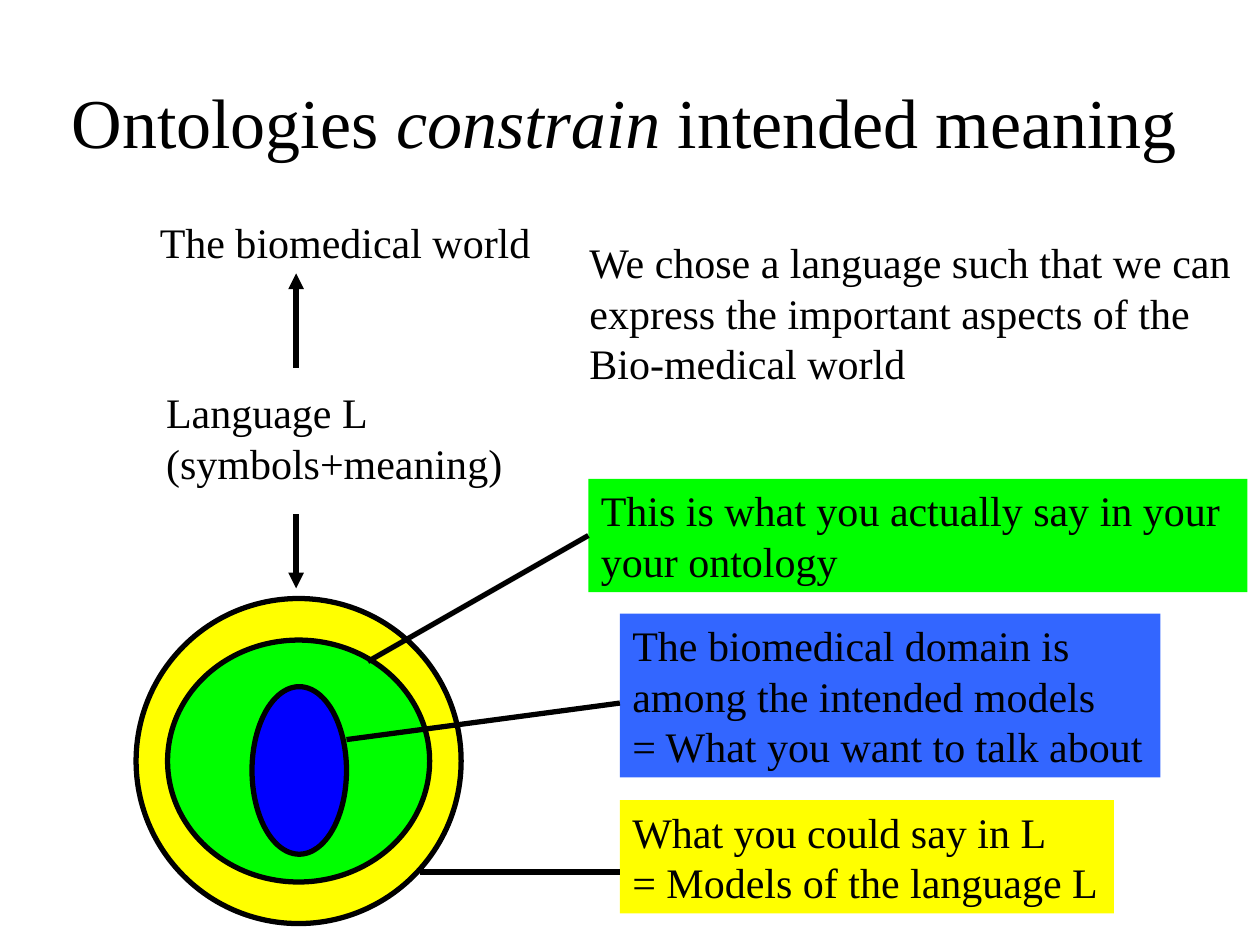
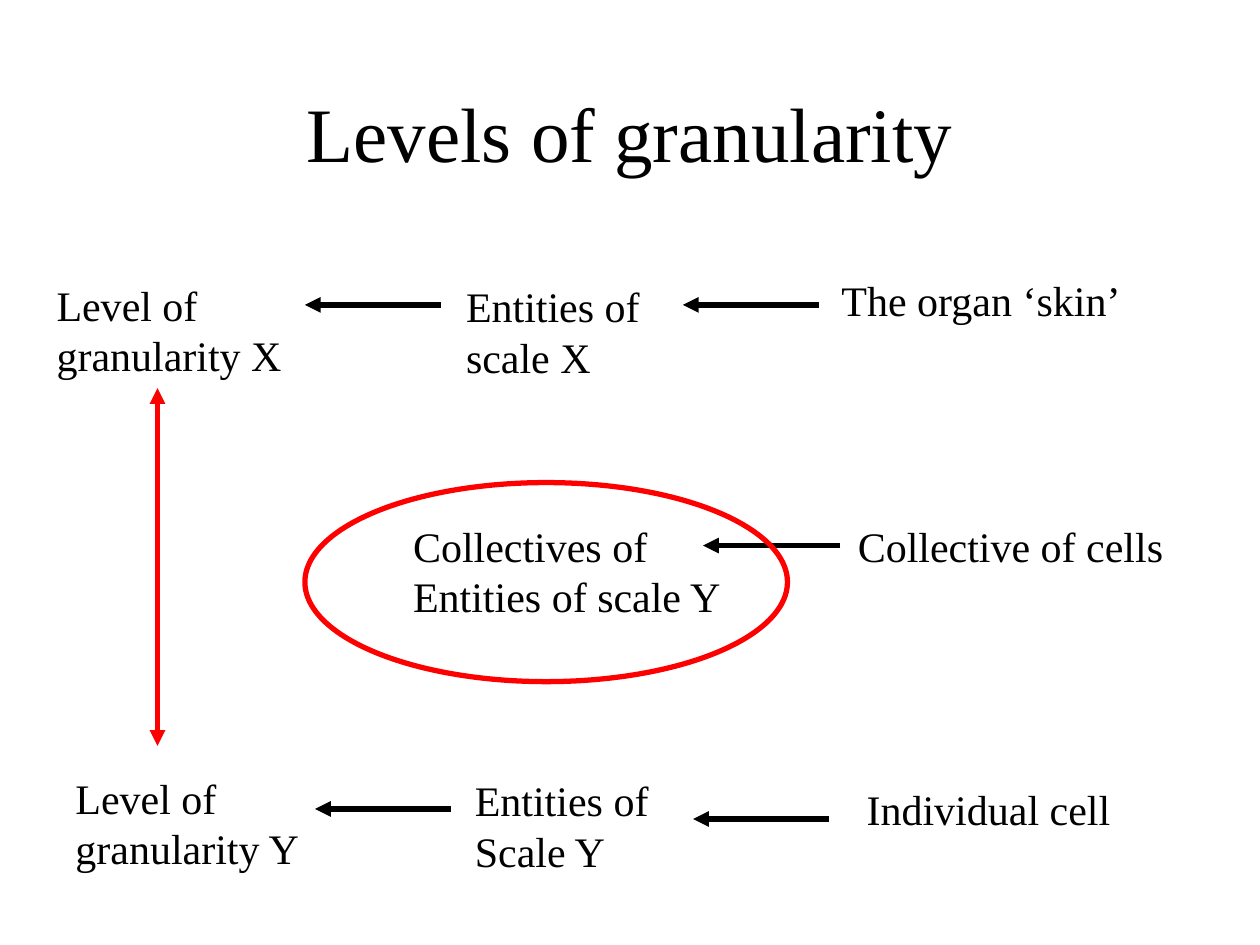
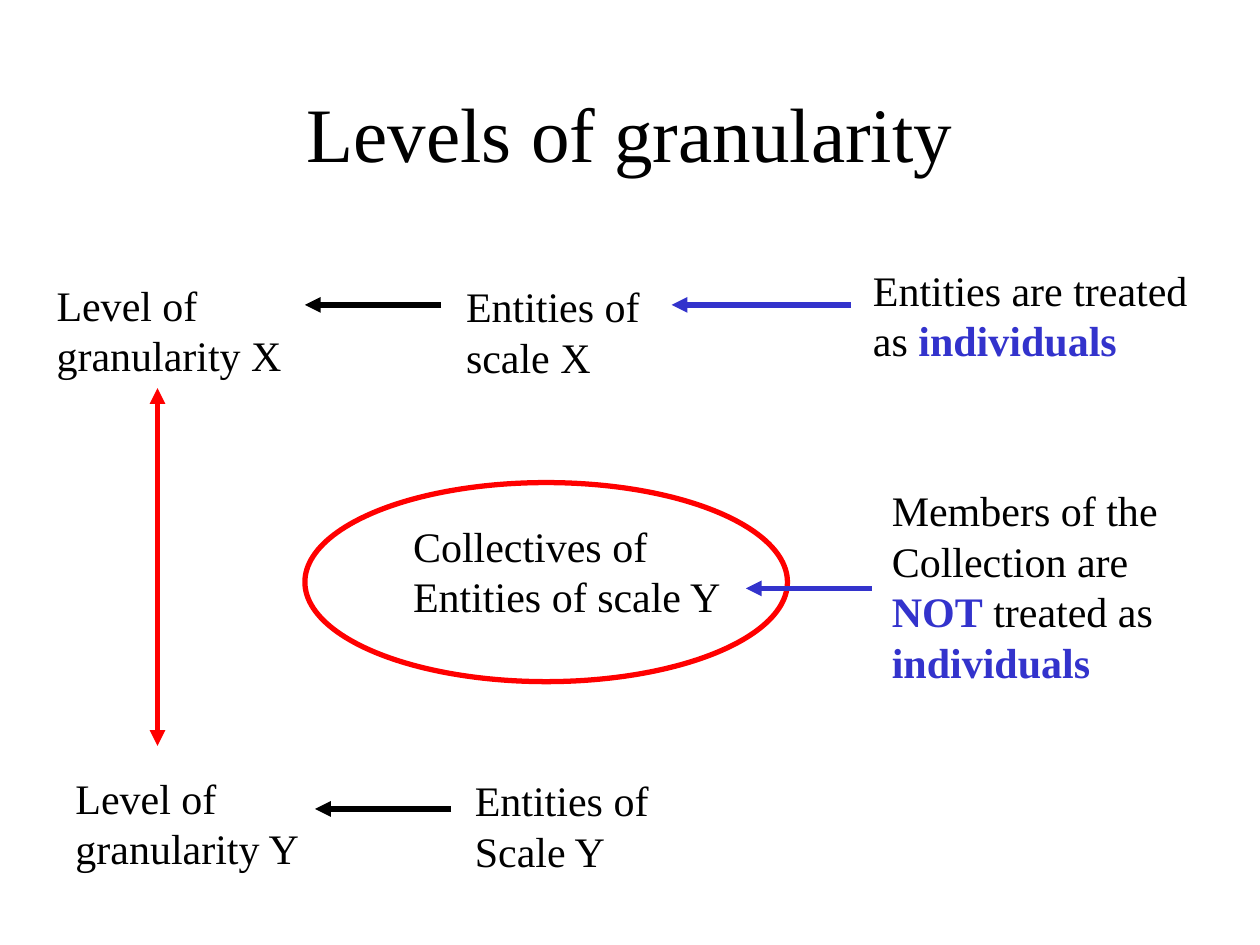
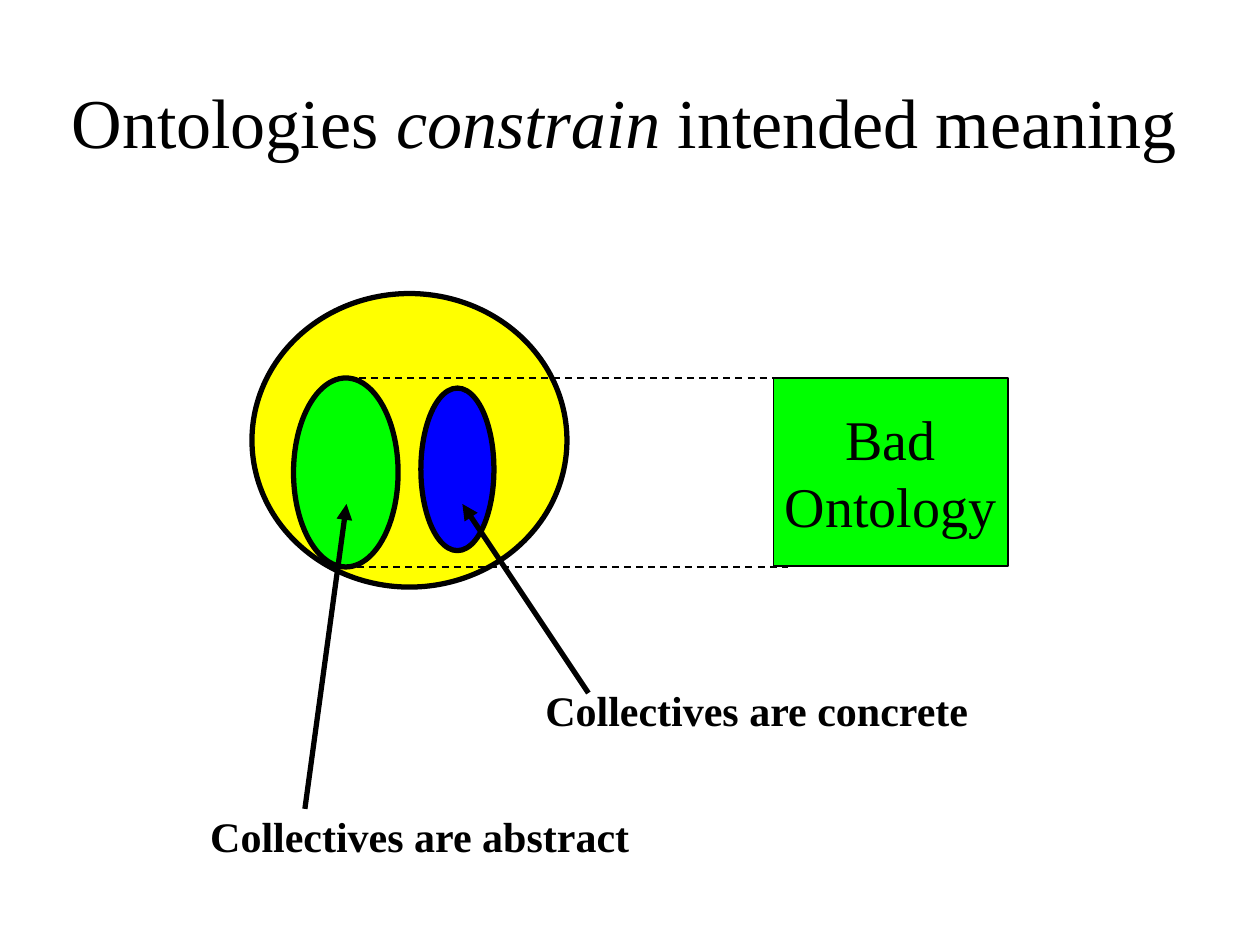
"""Builds four slides on ontologies and levels of granularity."""
from lxml.etree import SubElement
from pptx import Presentation
from pptx.dml.color import RGBColor
from pptx.enum.dml import MSO_LINE_DASH_STYLE as Dash
from pptx.enum.shapes import MSO_CONNECTOR as Connector, MSO_SHAPE as Shape
from pptx.enum.text import MSO_ANCHOR as Anchor, MSO_AUTO_SIZE as AutoSize, PP_ALIGN as Align
from pptx.oxml.ns import qn
from pptx.util import Inches, Pt

FONT = "Times New Roman"
BLACK, RED, INDIGO = "000000", "FF0000", "3333CC"
YELLOW, GREEN, BLUE, SKY = "FFFF00", "00FF00", "0000FF", "3366FF"
KEY = {"bold": True, "color": INDIGO}
WIDTH_SLACK = 0.03

MEANING_TITLE = {
    "lines": [[("Ontologies ", {}), ("constrain", {"italic": True}), (" intended meaning", {})]],
    "at": (0.08, 0.33, 9.75), "size": 40}
LEVELS_TITLE = {"lines": ["Levels of granularity"], "at": (0.75, 0.42, 8.5), "size": 44}

LEVELS = [
    ("text", ["Entities of", "scale X"], (3.6, 2.18, 1.66), {}),
    ("text", ["Entities of", "Scale Y"], (3.67, 6.1, 1.66), {}),
    ("text", ["Collectives of", "Entities of scale Y"], (3.18, 4.08, 2.65), {}),
    ("text", ["Level of", "granularity X"], (0.35, 2.17, 1.98), {}),
    ("line", (3.5, 2.42), (2.42, 2.42), {"tail": True}),
    ("text", ["Level of", "granularity Y"], (0.5, 6.08, 1.98), {}),
    ("line", (3.58, 6.42), (2.5, 6.42), {"tail": True}),
    ("line", (1.25, 5.92), (1.25, 3.08), {"color": RED, "head": True, "tail": True}),
    ("ellipse", None, (2.42, 3.83, 3.83, 1.58), {"color": RED}),
]

SLIDES = [
    (MEANING_TITLE, [
        ("text", ["The biomedical world"], (1.17, 1.67, 3.14), {}),
        ("ellipse", YELLOW, (1.08, 4.75, 2.58, 2.58), {}),
        ("text", ["What you could say in L", "= Models of the language L"],
         (4.92, 6.35, 3.89), {"fill": YELLOW}),
        ("line", (4.92, 6.92), (3.33, 6.92), {}),
        ("line", (2.35, 4.08), (2.35, 4.67), {"tail": True}),
        ("text", ["Language L", "(symbols+meaning)"], (1.22, 3.02, 2.87), {}),
        ("text", ["We chose a language such that we can", "express the important aspects of the",
                  "Bio-medical world"], (4.58, 1.83, 5.33), {"wrap": True}),
        ("line", (2.35, 2.92), (2.35, 2.17), {"tail": True}),
        ("ellipse", GREEN, (1.33, 5.08, 2.08, 1.92), {}),
        ("text", ["This is what you actually say in your", "your ontology"],
         (4.67, 3.8, 5.2), {"fill": GREEN}),
        ("line", (4.67, 4.25), (2.92, 5.25), {"from_side": 1}),
        ("ellipse", BLUE, (2, 5.45, 0.75, 1.33), {}),
        ("text", ["The biomedical domain is", "among the intended models",
                  "= What you want to talk about"], (4.92, 4.87, 4.26), {"fill": SKY}),
        ("line", (4.92, 5.58), (2.75, 5.87), {}),
    ]),
    (LEVELS_TITLE, [
        ("text", ["Individual cell"], (6.78, 6.17, 2.13), {}),
        ("text", ["Collective of cells"], (6.71, 4.08, 2.62), {}),
        ("text", ["The organ ‘skin’"], (6.58, 2.13, 2.42), {}),
        ("line", (6.5, 2.42), (5.42, 2.42), {"tail": True}),
        ("line", (6.58, 6.5), (5.5, 6.5), {"tail": True}),
        ("line", (6.67, 4.33), (5.58, 4.33), {"tail": True}),
        *LEVELS,
    ]),
    (LEVELS_TITLE, [
        *LEVELS,
        ("text", ["Entities are treated", [("as ", {}), ("individuals", KEY)]],
         (6.83, 2.05, 2.7), {}),
        ("line", (6.75, 2.42), (5.33, 2.42), {"color": INDIGO, "tail": True}),
        ("text", ["Members of the", "Collection are", [("NOT", KEY), (" treated as", {})],
                  [("individuals", KEY)]], (6.98, 3.8, 2.31), {}),
        ("line", (6.92, 4.67), (5.92, 4.67), {"color": INDIGO, "tail": True}),
    ]),
    (MEANING_TITLE, [
        ("ellipse", YELLOW, (2, 2.33, 2.5, 2.33), {}),
        ("ellipse", GREEN, (2.33, 3, 0.83, 1.5), {}),
        ("ellipse", BLUE, (3.34, 3.08, 0.58, 1.29), {}),
        ("line", (2.75, 3), (6.25, 3), {"width": 1, "dashed": True}),
        ("line", (2.83, 4.5), (6.25, 4.5), {"width": 1, "dashed": True}),
        ("text", ["Bad", "Ontology"], (6.14, 3, 1.86, 1.49),
         {"fill": GREEN, "outline": BLACK, "size": 32, "align": Align.CENTER,
          "anchor": Anchor.MIDDLE}),
        ("text", ["Collectives are concrete"], (4.23, 5.38, 3.57), {"bold": True}),
        ("line", (4.67, 5.5), (3.67, 4), {"tail": True}),
        ("text", ["Collectives are abstract"], (1.57, 6.38, 3.53), {"bold": True}),
        ("line", (2.42, 6.42), (2.75, 4), {"tail": True}),
    ]),
]


def rgb(color):
    return RGBColor.from_string(color)


def paint(shape, fill, outline, width):
    shape.shadow.inherit = False
    if fill:
        shape.fill.solid()
        shape.fill.fore_color.rgb = rgb(fill)
    else:
        shape.fill.background()
    if outline:
        shape.line.color.rgb = rgb(outline)
        shape.line.width = Pt(width)
    else:
        shape.line.fill.background()


def write(frame, lines, size=24, bold=False, align=Align.LEFT, anchor=Anchor.TOP, wrap=False):
    frame.word_wrap = wrap
    frame.vertical_anchor = anchor
    for index, line in enumerate(lines):
        para = frame.add_paragraph() if index else frame.paragraphs[0]
        para.alignment = align
        for text, style in [(line, {})] if isinstance(line, str) else line:
            span = para.add_run()
            span.text = text
            span.font.name = FONT
            span.font.size = Pt(size)
            span.font.bold = style.get("bold", bold)
            span.font.italic = style.get("italic", False)
            span.font.color.rgb = rgb(style.get("color", BLACK))


def add_text(page, lines, at, fill=None, outline=None, **text_format):
    fits = len(at) == 3
    if fits:
        left, top, width = at
        at = left, top, width + WIDTH_SLACK, 0.1 + 0.4 * len(lines)
    place = [Inches(v) for v in at]
    if fill:
        box = page.shapes.add_shape(Shape.RECTANGLE, *place)
        paint(box, fill, outline, 1)
    else:
        box = page.shapes.add_textbox(*place)
    write(box.text_frame, lines, **text_format)
    box.text_frame.auto_size = AutoSize.SHAPE_TO_FIT_TEXT if fits else AutoSize.NONE


def add_ellipse(page, fill, at, color=BLACK):
    ellipse = page.shapes.add_shape(Shape.OVAL, *[Inches(v) for v in at])
    paint(ellipse, fill, color, 3)


def add_line(page, start, end, color=BLACK, width=3, dashed=False, head=False, tail=False,
             from_side=None):
    latest = page.shapes[-1]
    line = page.shapes.add_connector(Connector.STRAIGHT, *[Inches(v) for v in (*start, *end)])
    if from_side is not None:
        line.begin_connect(latest, from_side)
    line.line.color.rgb = rgb(color)
    line.line.width = Pt(width)
    if dashed:
        line.line.dash_style = Dash.DASH
    properties = line.line._get_or_add_ln()
    for tag, wanted in (("a:headEnd", head), ("a:tailEnd", tail)):
        if wanted:
            SubElement(properties, qn(tag), type="triangle")
    SubElement(line._element.spPr, qn("a:effectLst"))


def add_title(page, lines, at, size):
    add_text(page, lines, (*at, 1.25), size=size, align=Align.CENTER, anchor=Anchor.MIDDLE,
             wrap=True)


DRAW = {"text": add_text, "ellipse": add_ellipse, "line": add_line}


def main():
    deck = Presentation()
    deck.slide_width, deck.slide_height = Inches(10), Inches(7.5)
    for title, items in SLIDES:
        page = deck.slides.add_slide(deck.slide_layouts[6])
        add_title(page, **title)
        for kind, first, second, options in items:
            DRAW[kind](page, first, second, **options)
    deck.save("out.pptx")


if __name__ == "__main__":
    main()
